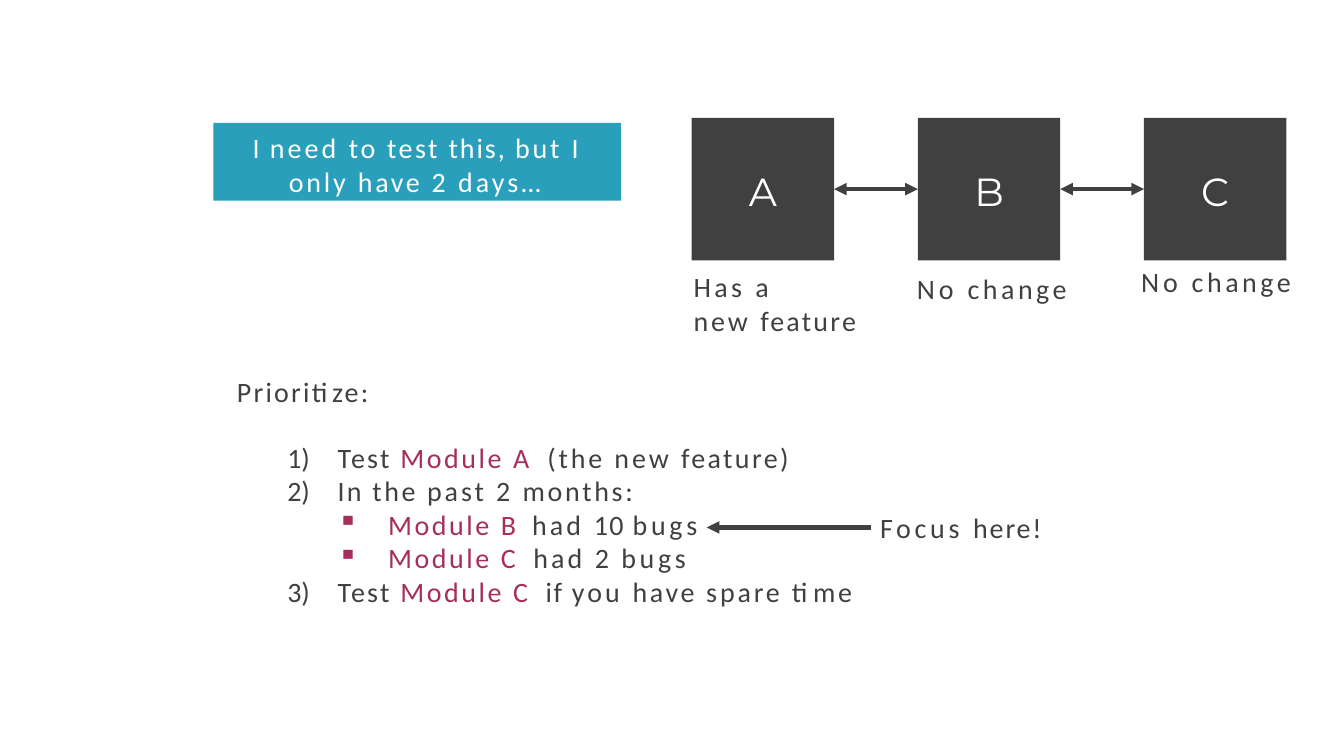
from pptx import Presentation
from pptx import util as u
from pptx.dml.color import RGBColor
from pptx.enum import shapes, text
from pptx.oxml import parse_xml
from pptx.oxml.ns import nsdecls

DARK, ACCENT, TEAL, WHITE = "404040", "A62E5C", "2A9FBC", "FFFFFF"


def color(hex_value):
    return RGBColor.from_string(hex_value)


def element(tag, attributes=""):
    return parse_xml(f"<a:{tag} {nsdecls('a')} {attributes}/>")


# ---- Text and shape helpers ----
def add_words(paragraph, words, hex_value=DARK, font="Calibri", size=20):
    """Add (text, letter spacing in points[, colour]) tuples as runs."""
    for word, spacing, *own_color in words:
        run = paragraph.add_run()
        run.text = word
        run.font.name = font
        run.font.size = u.Pt(size)
        run.font.color.rgb = color(own_color[0] if own_color else hex_value)
        run._r.get_or_add_rPr().set("spc", str(round(spacing * 100)))


def set_indent(paragraph, margin, hanging):
    properties = paragraph._p.get_or_add_pPr()
    properties.set("marL", str(u.Cm(margin)))
    properties.set("indent", str(-u.Cm(hanging)))
    return properties


def set_frame(shape, left=0.0, top=0.0, anchor=text.MSO_ANCHOR.TOP):
    frame = shape.text_frame
    frame.word_wrap = True
    frame.vertical_anchor = anchor
    frame.margin_left, frame.margin_top = u.Cm(left), u.Cm(top)
    frame.margin_right = frame.margin_bottom = 0
    return frame


def add_text_box(slide, left, top, width, height, lines):
    shape = slide.shapes.add_textbox(u.Cm(left), u.Cm(top), u.Cm(width), u.Cm(height))
    frame = set_frame(shape, left=0.03, top=0.06)
    for index, words in enumerate(lines):
        paragraph = frame.add_paragraph() if index else frame.paragraphs[0]
        add_words(paragraph, words)
    return frame


def add_block(slide, left, top, width, height, fill):
    shape = slide.shapes.add_shape(
        shapes.MSO_SHAPE.RECTANGLE, u.Cm(left), u.Cm(top), u.Cm(width), u.Cm(height))
    shape.shadow.inherit = False
    shape.fill.solid()
    shape.fill.fore_color.rgb = color(fill)
    shape.line.fill.background()
    return shape


def add_arrow(slide, start_x, end_x, y, both_ends=False):
    connector = slide.shapes.add_connector(
        shapes.MSO_CONNECTOR.STRAIGHT, u.Cm(start_x), u.Cm(y), u.Cm(end_x), u.Cm(y))
    connector.line.color.rgb = color(DARK)
    connector.line.width = u.Pt(3)
    line = connector.line._get_or_add_ln()
    for tag in ("headEnd", "tailEnd") if both_ends else ("tailEnd",):
        line.append(element(tag, 'type="triangle"'))
    connector._element.spPr.append(element("effectLst"))
    return connector


# ---- Regions ----
def add_statement(slide, left, top, width, height):
    shape = add_block(slide, left, top, width, height, TEAL)
    paragraph = set_frame(shape, top=0.19).paragraphs[0]
    paragraph.alignment = text.PP_ALIGN.LEFT
    set_indent(paragraph, 1.9, 0.91)
    add_words(paragraph, [
        ("I ", 1.3), ("need ", 2.2), ("to ", 1.9), ("test ", 1.7), ("this, ", 1.4),
        ("but ", 2), ("I ", 1.3), ("only ", 2), ("have ", 1.9), ("2 ", 2.1),
        ("days…", 2.2)], WHITE)


def add_modules(slide, left, top, side, pitch):
    no_change = [[("No ", 2.7), ("change", 2.5)]]
    new_feature = [[("Has ", 2.4), ("a", 2.1)], [("new ", 2.1), ("feature", 1.6)]]
    # letter, letter spacing, label lines, label offset from the square, label size
    modules = [
        ("A", 0.3, new_feature, 0.02, 3.76, 4.27, 1.75),
        ("B", -1.6, no_change, -0.05, 3.81, 3.9, 0.91),
        ("C", -1.1, no_change, -0.1, 3.63, 3.9, 0.91),
    ]
    previous = None
    for index, (letter, spacing, label, dx, dy, width, height) in enumerate(modules):
        x = left + index * pitch
        square = add_block(slide, x, top, side, side, DARK)
        frame = set_frame(square, top=0.08, anchor=text.MSO_ANCHOR.MIDDLE)
        frame.paragraphs[0].alignment = text.PP_ALIGN.CENTER
        add_words(frame.paragraphs[0], [(letter, spacing)], WHITE, "Montserrat", 28)
        add_text_box(slide, x + dx, top + dy, width, height, label)
        if previous is not None:
            arrow = add_arrow(slide, x - pitch + side, x, top + side / 2, True)
            arrow.begin_connect(previous, 3)
            arrow.end_connect(square, 1)
        previous = square


def add_priorities(slide, left, top, width, height):
    module = ("Module ", 1.8, ACCENT)
    lines = [
        [("Prioritize:", 1.6)],
        [("Test ", 1.6), module, ("A ", 4.2, ACCENT), ("(the ", 2), ("new ", 2.1),
         ("feature)", 1.7)],
        [("In ", 1.6), ("the ", 1.8), ("past 2 ", 2.1), ("months:", 1.9)],
        [module, ("B ", 3.5, ACCENT), ("had ", 2.2), ("10 ", 1), ("bugs", 2.6)],
        [module, ("C ", 4, ACCENT), ("had ", 2.2), ("2 ", 2.1), ("bugs", 2.6)],
        [("Test ", 1.6), module, ("C ", 4, ACCENT), ("if ", 1.2), ("you ", 2.2),
         ("have ", 1.9), ("spare ", 2), ("time", 1.9)],
    ]
    numbers = {1: "", 2: "", 5: 'startAt="3"'}
    paragraphs = add_text_box(slide, left, top, width, height, lines).paragraphs
    for index, paragraph in enumerate(paragraphs[1:], start=1):
        if index in numbers:
            properties = set_indent(paragraph, 2.54, 1.27)
            properties.append(
                element("buAutoNum", f'type="arabicParenR" {numbers[index]}'))
        else:
            paragraph.level = 1
            properties = set_indent(paragraph, 3.81, 1.27)
            properties.append(element("buChar", 'char="▪"'))
    paragraphs[1].space_before = u.Pt(23)


def add_focus_note(slide, left, top, arrow_length):
    add_arrow(slide, left + arrow_length, left, top + 0.49)
    add_text_box(slide, left + arrow_length + 0.21, top, 4.17, 0.91,
                 [[("Focus ", 2.6), ("here!", 1.3)]])


def main():
    presentation = Presentation()
    presentation.slide_width, presentation.slide_height = u.Cm(33.87), u.Cm(19.05)
    slide = presentation.slides.add_slide(presentation.slide_layouts[6])
    add_statement(slide, left=5.38, top=3.1, width=10.27, height=1.96)
    add_modules(slide, left=17.43, top=2.97, side=3.59, pitch=5.7)
    add_priorities(slide, left=5.94, top=9.37, width=15.6, height=5.97)
    add_focus_note(slide, left=17.81, top=12.8, arrow_length=4.13)
    presentation.save("out.pptx")


if __name__ == "__main__":
    main()
